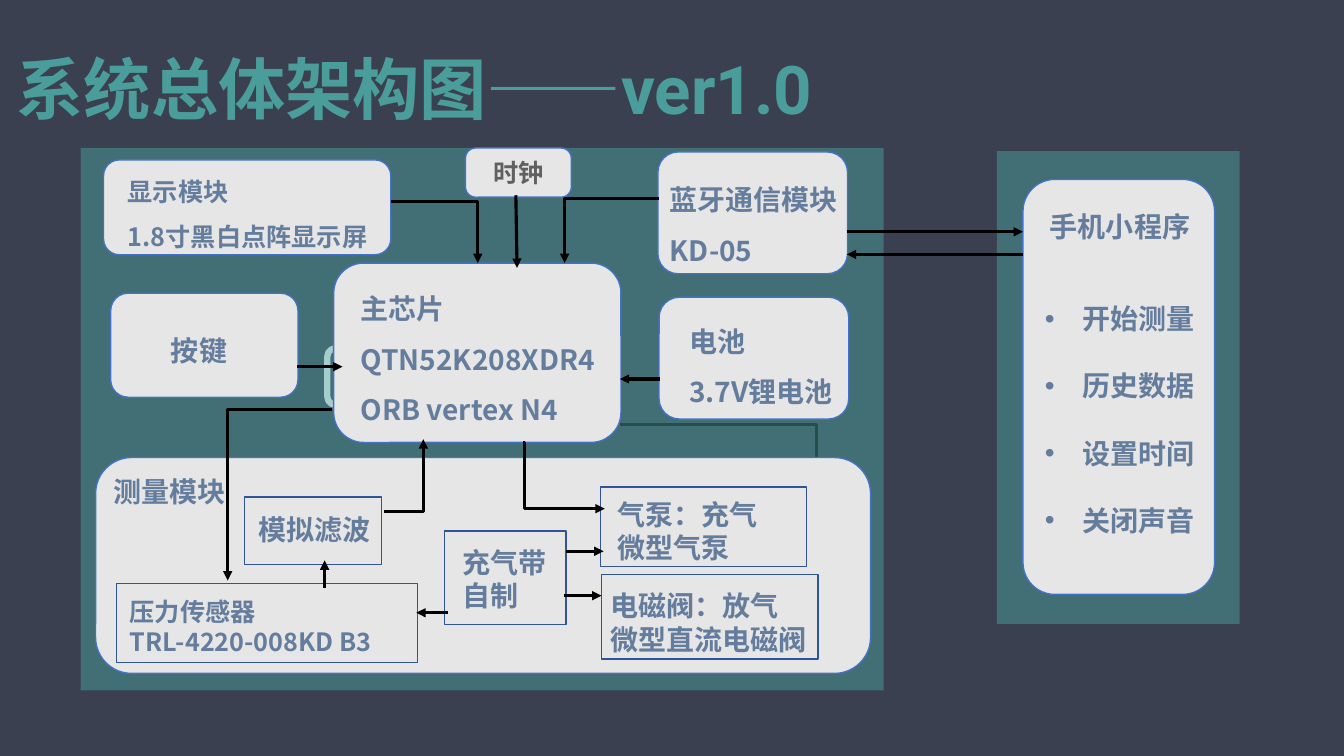
from pptx import Presentation
from pptx.dml.color import RGBColor
from pptx.enum.shapes import MSO_CONNECTOR as Link, MSO_SHAPE as Shape
from pptx.enum.text import MSO_ANCHOR as Anchor, PP_ALIGN as Align
from pptx.oxml.ns import qn
from pptx.util import Cm, Pt
from lxml.etree import SubElement

SANS = "Noto Sans CJK SC"
TEAL, SLATE, PALE = "4A9D9A", "657D9D", "E7E6E6"
ROUND_EDGE, SQUARE_EDGE = "4472C4", "2F5597"


def color(code):
    return RGBColor.from_string(code)


def style_text(frame, size, code, font=SANS, spacing=None):
    for para in frame.paragraphs:
        if spacing:
            para.line_spacing = spacing
        for span in para.runs:
            span.font.name, span.font.size, span.font.bold = font, Pt(size), True
            span.font.color.rgb = color(code)
            SubElement(span.font._element, qn("a:ea"), typeface=SANS)


def add_box(page, kind, left, top, width, height, fill=PALE, edge=None):
    box = page.shapes.add_shape(kind, Cm(left), Cm(top), Cm(width), Cm(height))
    box.shadow.inherit = False
    box.fill.solid()
    box.fill.fore_color.rgb = color(fill)
    if edge:
        box.line.color.rgb = color(edge)
        box.line.width = Pt(1)
    else:
        box.line.fill.background()
    return box


def add_panel(page, left, top, width, height):
    panel = add_box(page, Shape.RECTANGLE, left, top, width, height, TEAL)
    fill = panel.fill.fore_color._xFill.find(qn("a:srgbClr"))
    SubElement(fill, qn("a:alpha"), val="50000")


def add_label(page, left, top, text, size=20, spacing=None, width=7.59, height=1.12):
    label = page.shapes.add_textbox(Cm(left), Cm(top), Cm(width), Cm(height))
    label.text_frame.word_wrap = True
    label.text_frame.text = text
    style_text(label.text_frame, size, SLATE, spacing=spacing)
    return label.text_frame


def add_arrow(page, origin, start, end, bend=None):
    x, y = origin
    arrow = page.shapes.add_connector(
        Link.ELBOW if bend else Link.STRAIGHT,
        Cm(x + start[0]), Cm(y + start[1]), Cm(x + end[0]), Cm(y + end[1]))
    arrow.line.color.rgb = color("000000")
    arrow.line.width = Pt(2.25)
    outline = arrow.line._get_or_add_ln()
    SubElement(outline, qn("a:tailEnd"), type="triangle")
    properties = arrow._element.spPr
    SubElement(properties, qn("a:effectLst"))
    geometry = properties.find(qn("a:prstGeom"))
    if bend == "across":
        geometry.set("prst", "bentConnector2")
    elif bend == "down":
        guides = geometry.find(qn("a:avLst"))
        SubElement(guides, qn("a:gd"), name="adj1", fmla="val 1900")


def add_cards(page, origin, kind, edge, cards):
    x, y = origin
    for (left, top, width, height), (dx, dy), text, size, spacing in cards:
        left, top = x + left, y + top
        add_box(page, kind, left, top, width, height, edge=edge)
        add_label(page, left + dx, top + dy, text, size, spacing, height=height - 0.4)


def add_title(page, left, top, width, height):
    title = page.shapes.title
    title.left, title.top, title.width, title.height = Cm(left), Cm(top), Cm(width), Cm(height)
    frame = title.text_frame
    frame.text = "系统总体架构图——ver1.0"
    frame.vertical_anchor = Anchor.TOP
    frame.paragraphs[0].alignment = Align.RIGHT
    style_text(frame, 48, TEAL, "Roboto", 1.0)


def add_app(page, left, top, width, height):
    add_panel(page, left, top, width, height)
    card_left, card_top = left + 0.66, top + 0.71
    add_box(page, Shape.ROUNDED_RECTANGLE, card_left, card_top, 4.83, 10.46, edge=ROUND_EDGE)
    add_label(page, card_left + 0.43, card_top + 0.64, "手机小程序")
    actions = add_label(page, card_left + 0.3, card_top + 2.11,
                        "开始测量\n历史数据\n设置时间\n关闭声音", spacing=2.0, width=4.9, height=6.83)
    for para in actions.paragraphs:
        properties = para._p.get_or_add_pPr()
        properties.set("marL", str(Cm(0.95)))
        properties.set("indent", str(Cm(-0.95)))
        SubElement(properties, qn("a:buFont"), typeface="Arial")
        SubElement(properties, qn("a:buChar"), char="•")
    add_arrow(page, (left, top), (-3.78, 2.03), (0.66, 2.03))
    add_arrow(page, (left, top), (0.66, 2.6), (-3.78, 2.6))


def add_measurement(page, left, top, width, height):
    origin = left, top
    add_box(page, Shape.ROUNDED_RECTANGLE, left, top, width, height, edge=ROUND_EDGE)
    add_label(page, left + 0.2, top + 0.3, "测量模块")
    add_cards(page, origin, Shape.RECTANGLE, SQUARE_EDGE, [
        ((3.76, 0.99, 3.45, 1.7), (0.1, 0.28), "模拟滤波", 20, None),
        ((0.53, 3.18, 7.59, 1.98), (0.08, 0.18), "压力传感器\nTRL-4220-008KD B3", 18, None),
        ((8.79, 1.85, 3.07, 2.36), (0.2, 0.23), "充气带\n自制", 20, None),
        ((12.73, 0.74, 5.18, 2.01), (0.18, 0.13), "气泵：充气\n微型气泵", 20, None),
        ((12.75, 2.95, 5.46, 2.13), (-0.03, 0.23), "电磁阀：放气\n微型直流电磁阀", 20, None),
    ])
    for start, end in [
        ((11.86, 2.36), (12.8, 2.36)),
        ((11.81, 3.48), (12.75, 3.48)),
        ((8.89, 3.91), (8.08, 3.91)),
        ((5.77, 3.28), (5.77, 2.59)),
    ]:
        add_arrow(page, origin, start, end)


def add_chip_frame(page, left, top, width, height):
    frame = add_box(page, Shape.ROUNDED_RECTANGLE, left, top, width, height, edge="FFFFFF")
    frame.fill.background()
    frame.line.width = Pt(4.5)


def add_clock(page, left, top, width, height):
    clock = add_box(page, Shape.ROUNDED_RECTANGLE, left, top, width, height, edge=ROUND_EDGE)
    clock.adjustments[0] = 0.21
    clock.text_frame.text = "时钟"
    clock.text_frame.vertical_anchor = Anchor.MIDDLE
    clock.text_frame.paragraphs[0].alignment = Align.CENTER
    style_text(clock.text_frame, 18, "606060")


def add_system(page, left, top, width, height):
    origin = left, top
    add_chip_frame(page, left + 6.22, top + 5.05, 1.2, 1.42)
    add_arrow(page, origin, (13.59, 6.96), (18.54, 10.9), "across")
    add_panel(page, left, top, width, height)
    add_measurement(page, left + 0.38, top + 7.8, 19.53, 5.44)
    add_cards(page, origin, Shape.ROUNDED_RECTANGLE, ROUND_EDGE, [
        ((0.58, 0.3, 7.24, 2.39), (0.36, -0.1), "显示模块\n1.8寸黑白点阵显示屏", 18, 1.5),
        ((14.55, 0.1, 4.78, 3.07), (0.05, 0.23), "蓝牙通信模块\nKD-05", 20, 1.5),
        ((6.38, 2.9, 7.24, 4.52), (0.43, 0.18), "主芯片\nQTN52K208XDR4\nORB vertex N4", 20, 1.5),
        ((0.76, 3.66, 4.72, 2.62), (1.27, 0.89), "按键", 20, None),
        ((14.58, 3.76, 4.78, 3.07), (0.51, 0.13), "电池\n3.7V锂电池", 20, 1.5),
    ])
    add_clock(page, left + 9.7, top, 2.67, 1.24)
    for start, end, bend in [
        ((7.82, 1.35), (10.01, 2.9), "across"),
        ((14.58, 1.27), (12.2, 2.9), "across"),
        ((10.97, 1.19), (11, 3.02), None),
        ((5.46, 5.51), (6.6, 5.51), None),
        ((14.61, 5.82), (13.59, 5.82), None),
        ((6.35, 6.58), (3.71, 10.9), "across"),
        ((7.65, 9.17), (8.64, 7.34), "across"),
        ((11.15, 7.42), (13.21, 9.09), "down"),
    ]:
        add_arrow(page, origin, start, end, bend)


def main():
    deck = Presentation()
    deck.slide_width, deck.slide_height = Cm(33.87), Cm(19.05)
    page = deck.slides.add_slide(deck.slide_layouts[5])
    page.background.fill.solid()
    page.background.fill.fore_color.rgb = color("3A4050")
    add_title(page, -6.45, 1.07, 27.18, 2.31)
    add_system(page, 2.03, 3.73, 20.24, 13.67)
    add_app(page, 25.12, 3.81, 6.12, 11.91)
    deck.save("out.pptx")


if __name__ == "__main__":
    main()
